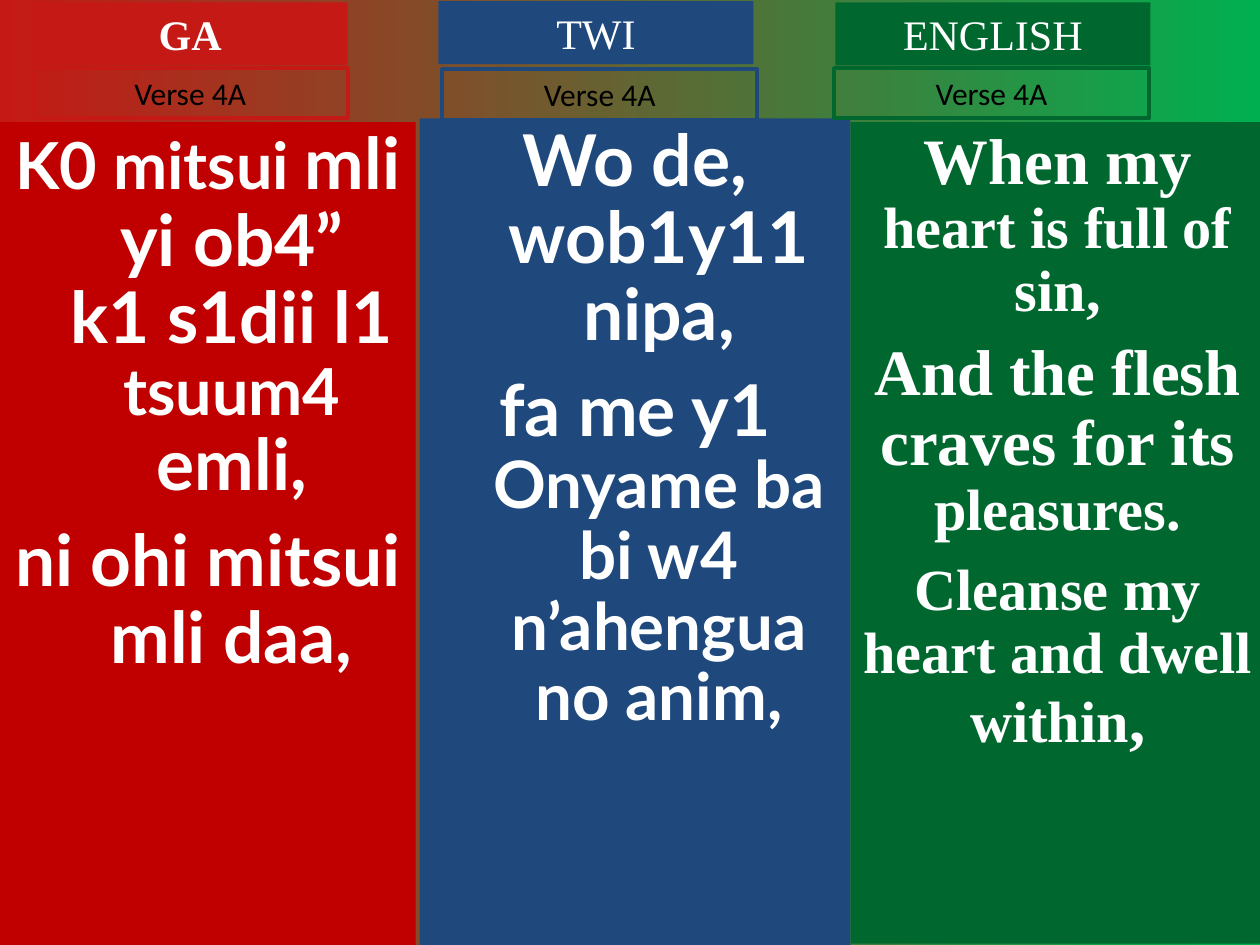
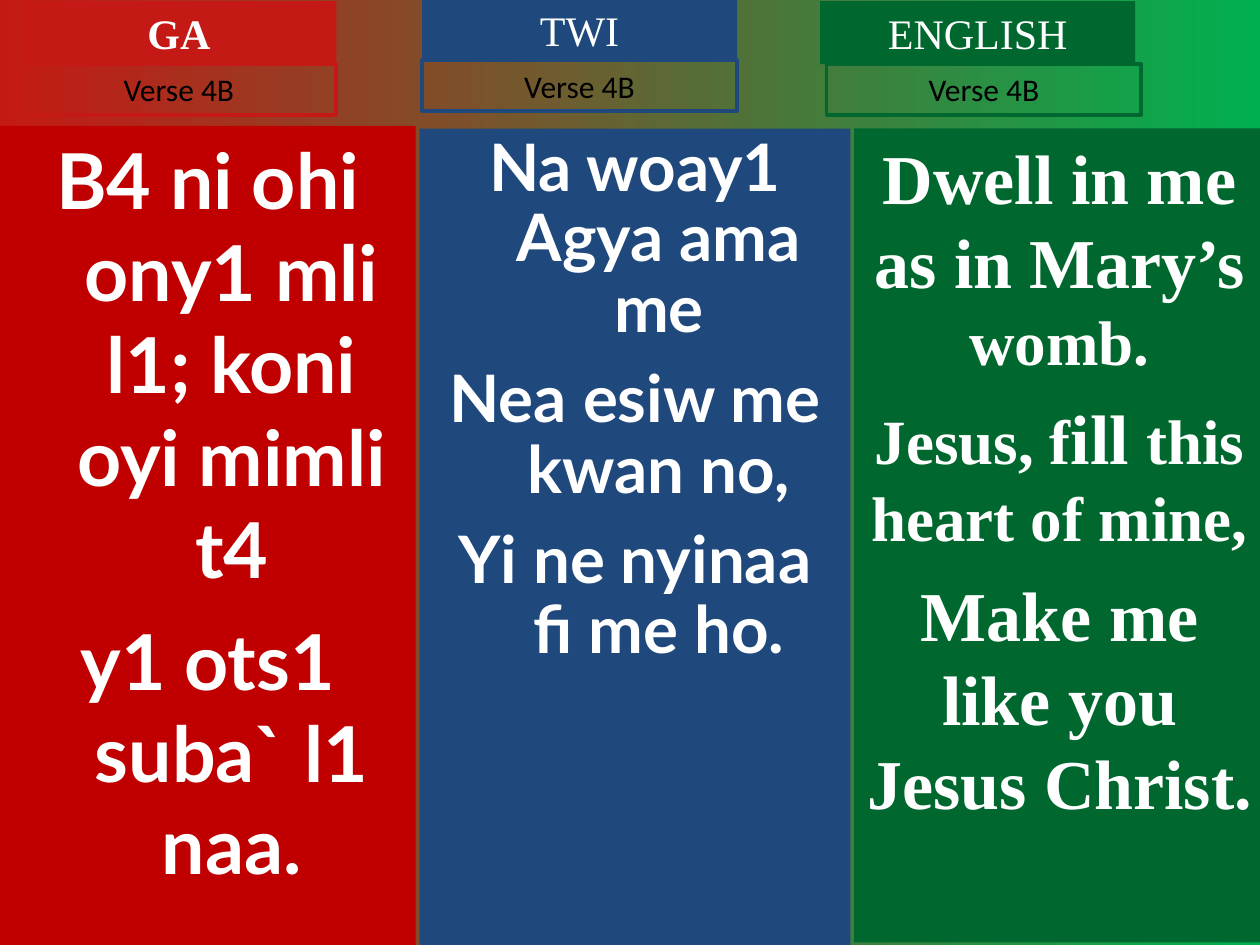
import pptx
import pptx.dml.color
import pptx.enum.shapes
import pptx.enum.text
import pptx.util

EMU_PER_PX = 9144
HANGING_INDENT = 38
WHITE = "FFFFFF"
BLACK = "000000"
BACKGROUND_COLOURS = ("C51915", "00B050")
HEADING_FONT = "Times New Roman"

LANGUAGES = {
    "GA": {
        "panel": "C00000", "heading": "C51915", "bold": True,
        "font": "Lato", "hanging": True, "gaps": (0, 11, 11),
    },
    "TWI": {
        "panel": "1F497D", "heading": "1F497D", "bold": False,
        "font": "Lato", "hanging": True, "gaps": (0, 11, 11),
    },
    "ENGLISH": {
        "panel": "00682F", "heading": "00682F", "bold": False,
        "font": "Times New Roman", "hanging": False, "gaps": (0, 9, 10),
    },
}

VERSES = {
    "Verse 4A": {
        "GA": {
            "panel": (0, 97, 330, 653), "heading": (26, 2), "label": (26, 54),
            "spacing": 0.9,
            "lyrics": [
                [("K0 mitsui ", 37), ("mli\nyi ob4”\nk1 s1dii l1 ", 40.7),
                 ("tsuum4 ", 37), ("emli,", 40.7)],
                [("ni ohi mitsui mli daa,", 40.7)],
            ],
        },
        "TWI": {
            "panel": (333, 94, 342, 656), "heading": (348, 1), "label": (351, 55),
            "spacing": 0.9,
            "lyrics": [
                [("Wo de, wob1y11 nipa,", 40.8)],
                [("fa me y1 ", 40.8), ("Onyame ba bi w4 n’ahengua no anim,", 37.4)],
            ],
        },
        "ENGLISH": {
            "panel": (675, 97, 329, 652), "heading": (663, 2), "label": (662, 54),
            "spacing": 0.9,
            "lyrics": [
                [("When my ", 37), ("heart is full of sin,", 33.3)],
                [("And the flesh craves for its ", 37), ("pleasures.", 33.3)],
                [("Cleanse my heart and dwell within", 33.3), (",", 37)],
            ],
        },
    },
    "Verse 4B": {
        "GA": {
            "panel": (0, 100, 330, 650), "heading": (17, 1), "label": (17, 51),
            "spacing": 1.0,
            "lyrics": [
                [("B4 ni ohi ony1 mli l1; koni oyi mimli t4", 44)],
                [("y1 ots1 suba` l1 naa.", 44)],
            ],
        },
        "TWI": {
            "panel": (333, 102, 342, 648), "heading": (335, -1), "label": (335, 48),
            "spacing": 0.9,
            "lyrics": [
                [("Na woay1 Agya ama me", 37.4)],
                [("Nea esiw me kwan no,", 37.4)],
                [("Yi ne nyinaa fi me ho.", 37.4)],
            ],
        },
        "ENGLISH": {
            "panel": (678, 102, 326, 646), "heading": (651, 1), "label": (656, 51),
            "spacing": 1.0,
            "lyrics": [
                [("Dwell in me as in Mary’s ", 40), ("womb.", 36)],
                [("Jesus, f", 36), ("ill ", 40), ("this heart of mine,", 36)],
                [("Make me like you Jesus Christ.", 40)],
            ],
        },
    },
}


def px(length):
    return pptx.util.Emu(length * EMU_PER_PX)


def colour(hex_string):
    return pptx.dml.color.RGBColor.from_string(hex_string)


def apply_format(target, values):
    for name, value in values.items():
        setattr(target, name, value)


def paint_background(slide):
    fill = slide.background.fill
    fill.gradient()
    fill.gradient_angle = 0
    for stop, hex_string in zip(fill.gradient_stops, BACKGROUND_COLOURS):
        stop.color.rgb = colour(hex_string)


def add_rectangle(slide, box, fill=None, line=None):
    shape = slide.shapes.add_shape(
        pptx.enum.shapes.MSO_SHAPE.RECTANGLE, *(px(length) for length in box))
    shape.shadow.inherit = False
    if fill:
        shape.fill.solid()
        shape.fill.fore_color.rgb = colour(fill)
    else:
        shape.fill.background()
    if line:
        shape.line.color.rgb = colour(line)
        shape.line.width = pptx.util.Pt(2.25)
    else:
        shape.line.fill.background()
    apply_format(shape.text_frame, {
        "word_wrap": True,
        "vertical_anchor": pptx.enum.text.MSO_ANCHOR.TOP,
    })
    return shape


def add_run(paragraph, text, size, font, hex_string, bold):
    run = paragraph.add_run()
    run.text = text
    apply_format(run.font, {"name": font, "size": pptx.util.Pt(size), "bold": bold})
    run.font.color.rgb = colour(hex_string)


def add_caption(slide, box, text, size, font, hex_string, bold=False, **paint):
    frame = add_rectangle(slide, box, **paint).text_frame
    frame.auto_size = pptx.enum.text.MSO_AUTO_SIZE.SHAPE_TO_FIT_TEXT
    paragraph = frame.paragraphs[0]
    paragraph.alignment = pptx.enum.text.PP_ALIGN.CENTER
    add_run(paragraph, text, size, font, hex_string, bold)


def set_hanging_indent(paragraph):
    properties = paragraph._p.get_or_add_pPr()
    properties.set("marL", str(px(HANGING_INDENT)))
    properties.set("indent", str(px(-HANGING_INDENT)))


def add_lyrics(slide, column, style):
    frame = add_rectangle(slide, column["panel"], fill=style["panel"]).text_frame
    for index, phrases in enumerate(column["lyrics"]):
        paragraph = frame.add_paragraph() if index else frame.paragraphs[0]
        if style["hanging"]:
            set_hanging_indent(paragraph)
        apply_format(paragraph, {
            "alignment": pptx.enum.text.PP_ALIGN.CENTER,
            "line_spacing": column["spacing"],
            "space_before": pptx.util.Pt(style["gaps"][index]),
        })
        for text, size in phrases:
            for line_number, line in enumerate(text.split("\n")):
                if line_number:
                    paragraph.add_line_break()
                add_run(paragraph, line, size, style["font"], WHITE, True)


def add_verse_slide(presentation, verse, columns):
    slide = presentation.slides.add_slide(presentation.slide_layouts[6])
    paint_background(slide)
    for language, column in columns.items():
        style = LANGUAGES[language]
        add_lyrics(slide, column, style)
        add_caption(slide, (*column["heading"], 250, 50), language, 24, HEADING_FONT,
                    WHITE, style["bold"], fill=style["heading"])
        add_caption(slide, (*column["label"], 250, 40), verse, 18, "Calibri",
                    BLACK, line=style["heading"])


def main():
    presentation = pptx.Presentation()
    apply_format(presentation, {"slide_width": px(1000), "slide_height": px(750)})
    for verse, columns in VERSES.items():
        add_verse_slide(presentation, verse, columns)
    presentation.save("out.pptx")


if __name__ == "__main__":
    main()
